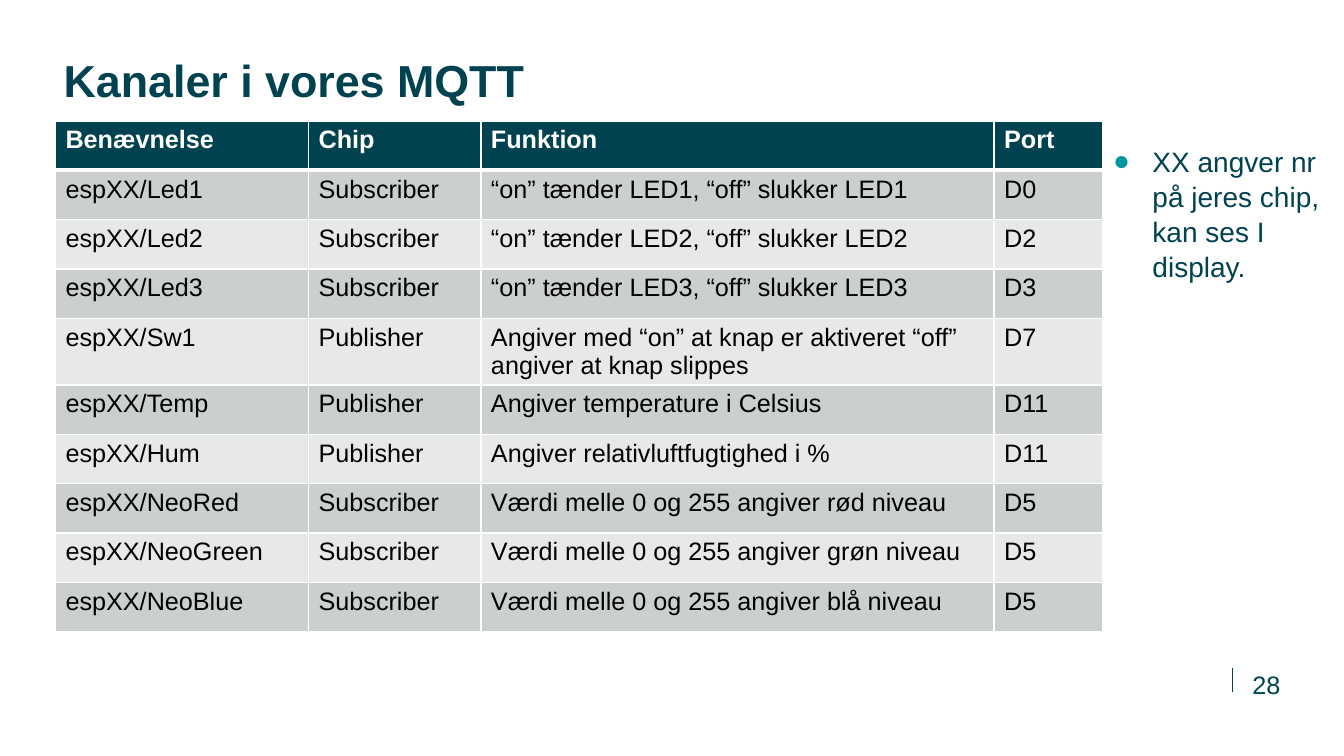
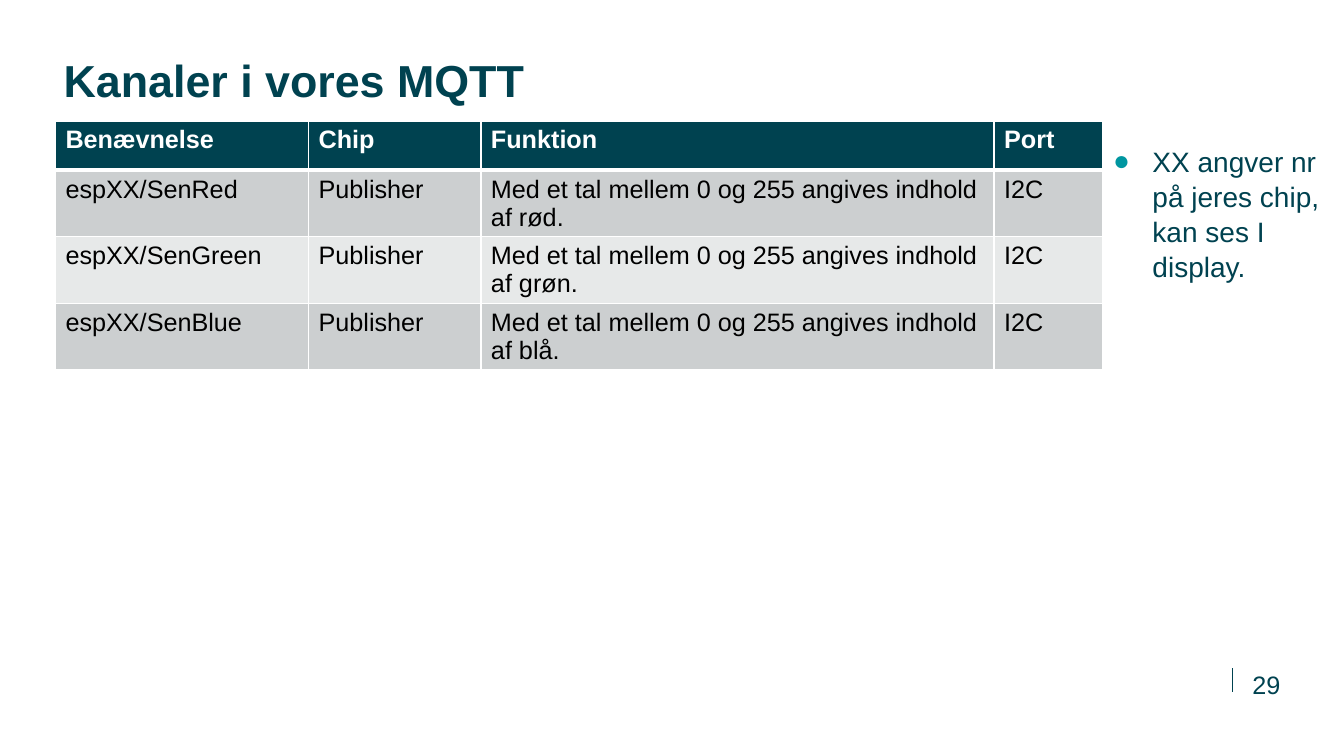
from lxml import etree
from pptx import Presentation
from pptx.dml.color import RGBColor
from pptx.enum.shapes import MSO_CONNECTOR
from pptx.enum.text import MSO_ANCHOR, MSO_AUTO_SIZE, PP_ALIGN
from pptx.oxml.ns import qn
from pptx.util import Pt

# Scale: 100 px to the inch
PX = 9144
WIDE, HIGH = 1333, 750

# Shared look
DARK = RGBColor(0x00, 0x42, 0x50)
TEAL = RGBColor(0x00, 0x96, 0xA0)
WHITE = RGBColor(0xFF, 0xFF, 0xFF)
BLACK = RGBColor(0x00, 0x00, 0x00)
BANDS = (RGBColor(0xCC, 0xCF, 0xD0), RGBColor(0xE7, 0xE9, 0xE9))
LEFT, RIGHT = PP_ALIGN.LEFT, PP_ALIGN.RIGHT
TOP, BOTTOM = MSO_ANCHOR.TOP, MSO_ANCHOR.BOTTOM
STRAIGHT = MSO_CONNECTOR.STRAIGHT
NO_FIT = MSO_AUTO_SIZE.NONE

TITLE = dict(size=Pt(32), bold=True, color=DARK)
BODY = dict(size=Pt(20), bold=False, color=DARK)
PAGE = dict(size=Pt(18), bold=False, color=DARK)
HEAD = dict(size=Pt(18), bold=True, color=WHITE)
CELL = dict(size=Pt(18), bold=False, color=BLACK)

# Regions: left, top, width, height
TITLE_BOX = (63, 59, 1208, 100)
NOTE_BOX = (1104, 142, 213, 483)
PAGE_BOX = (1223, 637, 47, 57)
TABLE_AT = (55, 120)
COLS = (251, 171, 509, 108)
ROW = 49
INDENT = 39

# Content
FIRST = 28
NAME = "Kanaler i vores MQTT"
NOTE = "XX angver nr på jeres chip, kan ses I display."
HEADS = ("Benævnelse", "Chip", "Funktion", "Port")
SUB, PUB = "Subscriber", "Publisher"
PINS = [
    ("espXX/Led1", SUB, "“on” tænder LED1, “off” slukker LED1", "D0"),
    ("espXX/Led2", SUB, "“on” tænder LED2, “off” slukker LED2", "D2"),
    ("espXX/Led3", SUB, "“on” tænder LED3, “off” slukker LED3", "D3"),
    ("espXX/Sw1", PUB, "Angiver med “on” at knap er aktiveret “off” angiver at knap slippes", "D7"),
    ("espXX/Temp", PUB, "Angiver temperature i Celsius", "D11"),
    ("espXX/Hum", PUB, "Angiver relativluftfugtighed i %", "D11"),
    ("espXX/NeoRed", SUB, "Værdi melle 0 og 255 angiver rød niveau", "D5"),
    ("espXX/NeoGreen", SUB, "Værdi melle 0 og 255 angiver grøn niveau", "D5"),
    ("espXX/NeoBlue", SUB, "Værdi melle 0 og 255 angiver blå niveau", "D5"),
]
SENSORS = [
    ("espXX/SenRed", PUB, "Med et tal mellem 0 og 255 angives indhold af rød.", "I2C"),
    ("espXX/SenGreen", PUB, "Med et tal mellem 0 og 255 angives indhold af grøn.", "I2C"),
    ("espXX/SenBlue", PUB, "Med et tal mellem 0 og 255 angives indhold af blå.", "I2C"),
]


def scale(*sizes):
    return [size * PX for size in sizes]


def write(para, text, look):
    """Add one run with the given font values."""
    run = para.add_run()
    run.text = text
    run.font.name = "Arial"
    for key, value in look.items():
        if key == "color":
            run.font.color.rgb = value
        else:
            setattr(run.font, key, value)


def fill_box(shape, box, anchor, align):
    """Place a text shape without insets and return its paragraph."""
    for key, value in zip(("left", "top", "width", "height"), scale(*box)):
        setattr(shape, key, value)
    frame = shape.text_frame
    values = dict(margin_left=0, margin_top=0, margin_right=0, margin_bottom=0,
                  word_wrap=True, auto_size=NO_FIT, vertical_anchor=anchor)
    for key, value in values.items():
        setattr(frame, key, value)
    para = frame.paragraphs[0]
    para.alignment = align
    para.space_before = Pt(0)
    return para


def add_title(slide, box):
    para = fill_box(slide.shapes.title, box, TOP, LEFT)
    para.line_spacing = 0.88
    write(para, NAME, TITLE)


def add_note(slide, box):
    para = fill_box(slide.placeholders[1], box, TOP, LEFT)
    para.line_spacing = 1.04
    para.space_after = Pt(6)
    # Round teal bullet with a hanging indent
    props = para._p.get_or_add_pPr()
    props.set("marL", str(INDENT * PX))
    props.set("indent", str(-INDENT * PX))
    tint = etree.SubElement(props, qn("a:buClr"))
    etree.SubElement(tint, qn("a:srgbClr"), val=str(TEAL))
    etree.SubElement(props, qn("a:buFont"), typeface="Arial")
    etree.SubElement(props, qn("a:buChar"), char="●")
    write(para, NOTE, BODY)


def add_page(slide, box, number):
    """Page number with a thin rule at its left."""
    left, top = box[:2]
    rule = slide.shapes.add_connector(
        STRAIGHT, *scale(left - 1, top + 26, left - 1, top + 50))
    rule.line.color.rgb = DARK
    rule.line.width = Pt(0.5)
    etree.SubElement(rule._element.spPr, qn("a:effectLst"))
    para = fill_box(slide.shapes.add_textbox(0, 0, 0, 0), box, BOTTOM, RIGHT)
    write(para, str(number), PAGE)


def add_edges(cell, base):
    """White cell borders; base is the width of the lower one."""
    props = cell._tc.get_or_add_tcPr()
    for side, width in dict(L=1, R=1, T=1, B=base).items():
        edge = etree.SubElement(props, qn("a:ln" + side), w=str(Pt(width)))
        paint = etree.SubElement(edge, qn("a:solidFill"))
        etree.SubElement(paint, qn("a:srgbClr"), val=str(WHITE))


def add_grid(slide, spot, rows):
    lines = [HEADS, *rows]
    size = scale(*spot, sum(COLS), ROW * len(lines))
    table = slide.shapes.add_table(len(lines), len(COLS), *size).table
    table.horz_banding = False
    for col, width in zip(table.columns, scale(*COLS)):
        col.width = width
    for i, line in enumerate(lines):
        table.rows[i].height = ROW * PX
        head = i == 0
        for j, text in enumerate(line):
            cell = table.cell(i, j)
            add_edges(cell, 3 if head else 1)
            cell.fill.solid()
            cell.fill.fore_color.rgb = DARK if head else BANDS[(i - 1) % 2]
            write(cell.text_frame.paragraphs[0], text, HEAD if head else CELL)


def add_slide(deck, number, rows):
    slide = deck.slides.add_slide(deck.slide_layouts[1])
    add_title(slide, TITLE_BOX)
    add_note(slide, NOTE_BOX)
    add_page(slide, PAGE_BOX, number)
    add_grid(slide, TABLE_AT, rows)


def main():
    deck = Presentation()
    deck.slide_width, deck.slide_height = scale(WIDE, HIGH)
    for number, rows in enumerate((PINS, SENSORS), FIRST):
        add_slide(deck, number, rows)
    deck.save("out.pptx")


if __name__ == "__main__":
    main()
